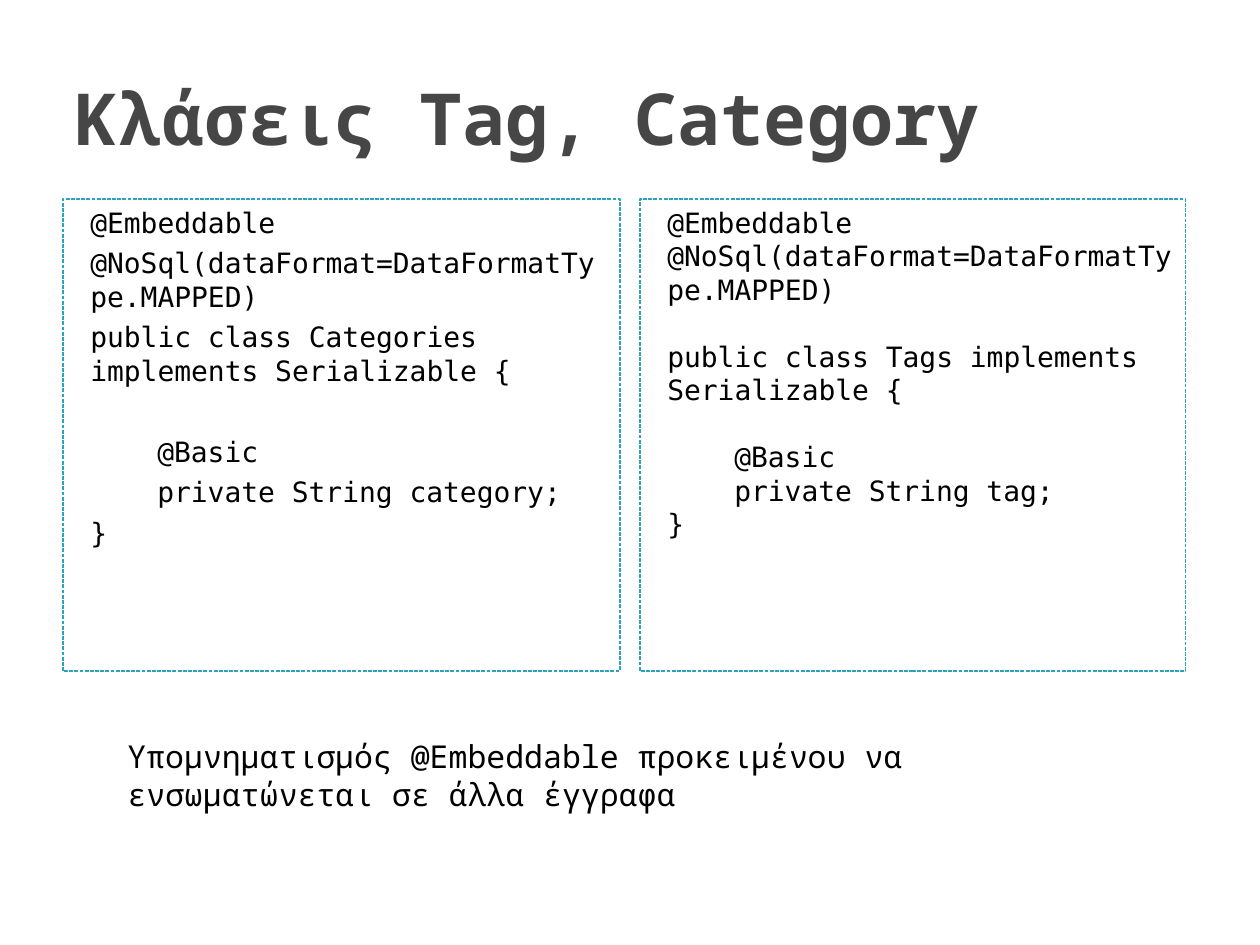
from dataclasses import dataclass
from pptx import Presentation, util as u
from pptx.dml.color import RGBColor
from pptx.enum import dml, shapes, text


@dataclass
class Theme:
    ink: str = "000000"
    head: str = "464646"
    edge: str = "2DA2BF"
    code: str = "DejaVu Sans Mono"
    prose: str = "Noto Sans Mono"
    big: int = 41
    mid: int = 18
    small: int = 16
    line: float = 0.75


class Deck:
    scale = 914400 // 126

    def __init__(self, theme):
        self.theme = theme
        self.file = Presentation()
        self.file.slide_width = self.px(1260)
        self.file.slide_height = self.px(945)
        self.slide = self.file.slides.add_slide(self.file.slide_layouts[6])

    def px(self, size):
        return u.Emu(size * self.scale)

    def style(self, para, face, size, color, bold=False):
        para.alignment = text.PP_ALIGN.LEFT
        for run in para.runs:
            font = run.font
            font.name, font.size, font.bold = face, u.Pt(size), bold
            font.color.rgb = RGBColor.from_string(color)

    def label(self, box, words, size, color, bold=False, anchor=text.MSO_ANCHOR.TOP):
        frame = self.slide.shapes.add_textbox(*map(self.px, box)).text_frame
        frame.word_wrap = True
        frame.vertical_anchor = anchor
        frame.text = words
        self.style(frame.paragraphs[0], self.theme.prose, size, color, bold)

    def panel(self, box, lines, gap, skip):
        look = self.theme
        shape = self.slide.shapes.add_shape(
            shapes.MSO_SHAPE.RECTANGLE, *map(self.px, box))
        shape.shadow.inherit = False
        shape.fill.background()
        shape.line.color.rgb = RGBColor.from_string(look.edge)
        shape.line.width = u.Pt(look.line)
        shape.line.dash_style = dml.MSO_LINE.SQUARE_DOT
        frame = shape.text_frame
        frame.word_wrap = True
        frame.vertical_anchor = text.MSO_ANCHOR.TOP
        frame.text = "\n".join(words for words, _ in lines)
        for row, (para, (_, level)) in enumerate(zip(frame.paragraphs, lines)):
            self.style(para, look.code, look.small, look.ink)
            props = para._p.get_or_add_pPr()
            props.set("marL", str(self.px(15 + 67 * level)))
            props.set("indent", "0")
            para.space_before = u.Pt(skip.get(row, gap))


def source(name, field):
    return [
        ("@Embeddable", 0),
        ("@NoSql(dataFormat=DataFormatType.MAPPED)", 0),
        (f"public class {name} implements Serializable {{", 0),
        ("@Basic", 1),
        (f"private String {field};", 1),
        ("}", 0),
    ]


look = Theme()
deck = Deck(look)
deck.label((63, 38, 1134, 158), "Κλάσεις Tag, Category", look.big, look.head,
           True, text.MSO_ANCHOR.MIDDLE)
deck.panel((63, 199, 557, 472), source("Categories", "category"), 4, {3: 27})
deck.panel((640, 199, 546, 472), source("Tags", "tag"), 0, {2: 19, 3: 19})
deck.label((115, 731, 1062, 89),
           "Υπομνηματισμός @Embeddable προκειμένου να ενσωματώνεται σε άλλα έγγραφα",
           look.mid, look.ink)
deck.file.save("out.pptx")
